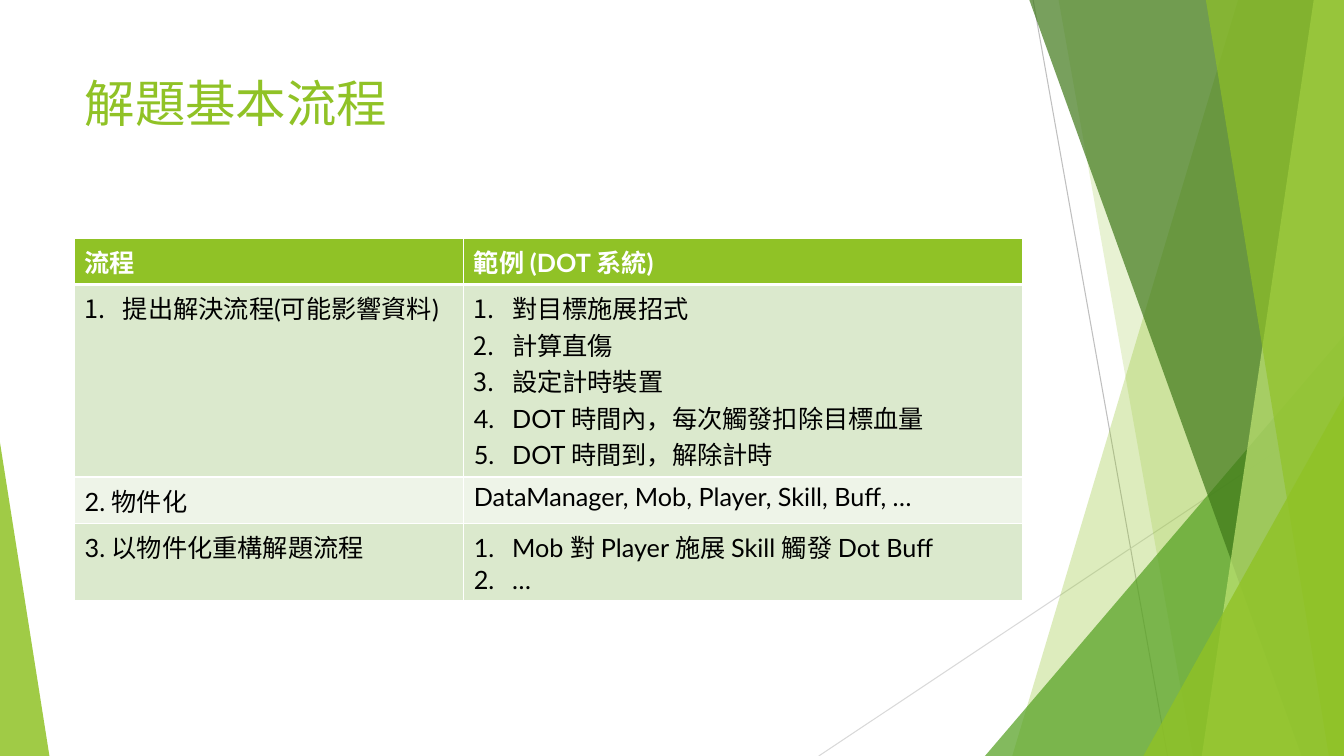
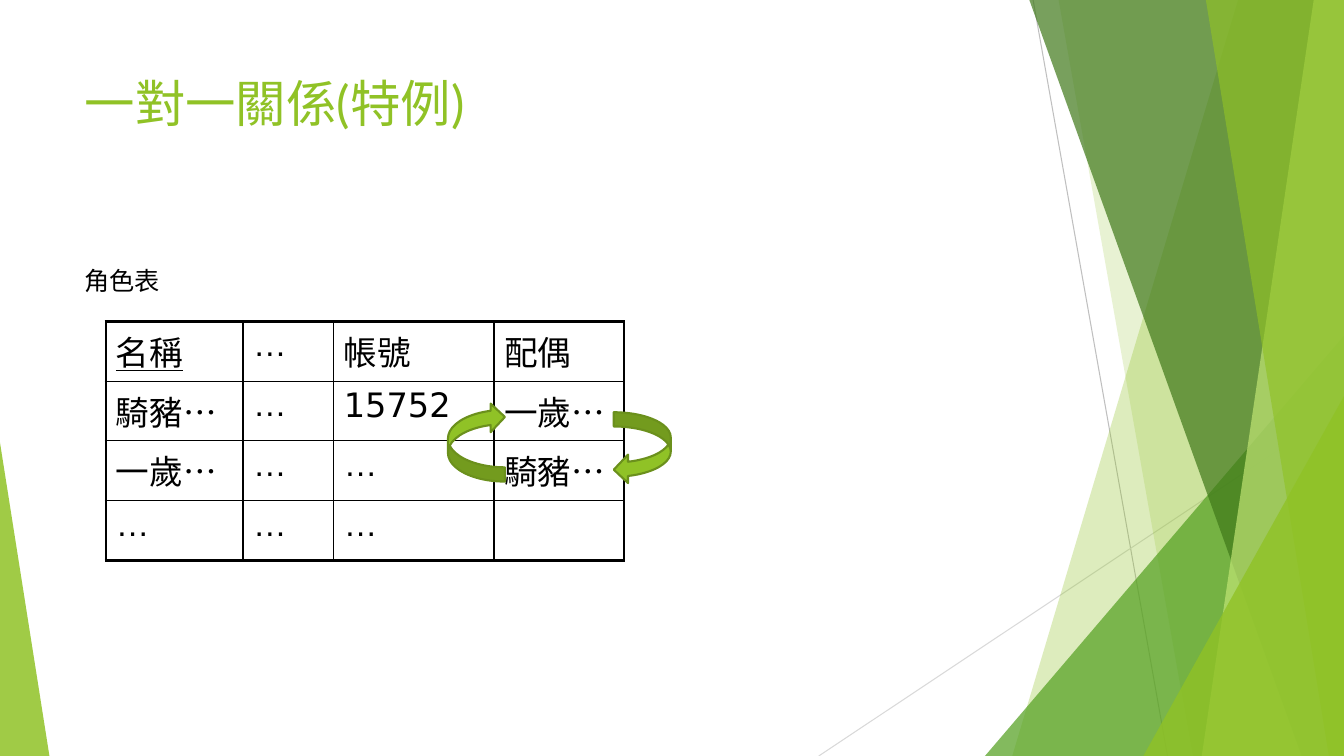
from dataclasses import dataclass

from lxml.etree import SubElement
from pptx import Presentation
from pptx.dml.color import RGBColor
from pptx.enum.shapes import MSO_CONNECTOR, MSO_SHAPE
from pptx.enum.text import MSO_ANCHOR, MSO_AUTO_SIZE, PP_ALIGN
from pptx.oxml.ns import qn
from pptx.util import Inches, Pt


@dataclass(frozen=True)
class Theme:
    green: str = "90C226"
    leaf: str = "54A021"
    forest: str = "3F7819"
    lime: str = "C0E474"
    outline: str = "6B901C"
    band: str = "DBE9CD"
    pale: str = "EEF4E8"
    grey: str = "BFBFBF"
    light_grey: str = "D9D9D9"
    black: str = "000000"
    white: str = "FFFFFF"
    font: str = "Lato"
    grid_font: str = "DejaVu Sans"
    dots_font: str = "Arial"
    title_size: int = 36
    grid_size: int = 24
    text_size: int = 18


@dataclass(frozen=True)
class Box:
    left: float
    top: float
    width: float
    height: float

    def inner(self, left, top, width, height):
        """Return the inner box given as shares of this one."""
        return Box(self.left + left * self.width, self.top + top * self.height,
                   width * self.width, height * self.height)

    def emu(self):
        return [int(v) for v in (self.left, self.top, self.width, self.height)]

    def point(self, x, y):
        """Return a point given in percent of this box."""
        return (int(self.left + x * self.width / 100),
                int(self.top + y * self.height / 100))


T = Theme()
PAGE = Box(0, 0, Inches(13.33), Inches(7.5))


def area(left, top, width, height):
    """Return a box given in percent of the page."""
    return PAGE.inner(left / 100, top / 100, width / 100, height / 100)


TITLE = area(5.55, 8.93, 70.52, 19.2)
STEPS = area(5.55, 31.47, 70.52, 41.47)
CAPTION = area(5.55, 34.4, 7.2, 5.33)
ROLES = area(7.88, 42.53, 38.56, 31.6)

# Backdrop parts in percent of the page
LINES = [((76.87, 0), (86.87, 100), T.grey),
         ((100, 53.73), (60.92, 100), T.light_grey)]
# Panes reach the right edge: left end at top, left end at bottom, colour, opacity
BACK_PANES = [(92.12, 75.32, T.green, 30), (78.77, 88.75, T.green, 20)]
FRONT_PANES = [(76.59, 96.85, T.forest, 70), (97.75, 89.42, T.lime, 70),
               (89.72, 98.87, T.green, 65)]
# Wedges reach the bottom edge: left, top, width, peak, colour, opacity
BACK_WEDGE = (73.29, 44.4, 26.71, 1, T.leaf, 72)
FRONT_WEDGES = [(85.07, 52.4, 14.93, 1, T.green, 80),
                (0, 58.53, 3.68, 0, T.green, 85)]


def rgb(color):
    return RGBColor.from_string(color)


def style_run(r, size, color, font=T.font, bold=False, underline=False):
    r.font.size = Pt(size)
    r.font.name = font
    r.font.color.rgb = rgb(color)
    r.font.bold = bold
    r.font.underline = underline


def paint(sp, color, opacity=100):
    sp.shadow.inherit = False
    sp.fill.solid()
    sp.fill.fore_color.rgb = rgb(color)
    sp.line.fill.background()
    if opacity < 100:
        tone = sp._element.spPr.find(qn("a:solidFill")).find(qn("a:srgbClr"))
        SubElement(tone, qn("a:alpha"), val=str(opacity * 1000))


# Shared backdrop
def add_pane(s, box, top_x, bottom_x, color, opacity):
    outline = s.shapes.build_freeform(*box.point(top_x, 0), scale=1.0)
    outline.add_line_segments([box.point(100, 0), box.point(100, 100),
                               box.point(bottom_x, 100)], close=True)
    paint(outline.convert_to_shape(), color, opacity)


def add_wedge(s, box, left, top, width, peak, color, opacity):
    place = box.inner(left / 100, top / 100, width / 100, 1 - top / 100)
    sp = s.shapes.add_shape(MSO_SHAPE.ISOSCELES_TRIANGLE, *place.emu())
    sp.adjustments[0] = peak
    paint(sp, color, opacity)


def add_backdrop(s, box):
    for start, end, color in LINES:
        line = s.shapes.add_connector(MSO_CONNECTOR.STRAIGHT,
                                      *box.point(*start), *box.point(*end))
        line.line.color.rgb = rgb(color)
        line.line.width = Pt(0.75)
        SubElement(line._element.spPr, qn("a:effectLst"))
    for pane in BACK_PANES:
        add_pane(s, box, *pane)
    add_wedge(s, box, *BACK_WEDGE)
    for pane in FRONT_PANES:
        add_pane(s, box, *pane)
    for wedge in FRONT_WEDGES:
        add_wedge(s, box, *wedge)


def add_slide(prs, title):
    s = prs.slides.add_slide(prs.slide_layouts[5])
    add_backdrop(s, PAGE)
    sp = s.shapes.title
    sp.left, sp.top, sp.width, sp.height = TITLE.emu()
    tf = sp.text_frame
    tf.text = title
    tf.word_wrap = True
    tf.auto_size = MSO_AUTO_SIZE.NONE
    tf.vertical_anchor = MSO_ANCHOR.TOP
    p = tf.paragraphs[0]
    p.alignment = PP_ALIGN.LEFT
    style_run(p.runs[0], T.title_size, T.green)
    return s


# Tables
def add_grid(s, box, shares, row_heights):
    frame = s.shapes.add_table(len(row_heights), len(shares), *box.emu())
    table = frame.table
    table.first_row = table.horz_banding = False
    for column, share in zip(table.columns, shares):
        column.width = int(box.width * share / sum(shares))
    for row, height in zip(table.rows, row_heights):
        row.height = int(height)
    return table


def set_borders(cell, color, left=1, right=1, top=1, bottom=1):
    tc_pr = cell._tc.get_or_add_tcPr()
    for tag, width in (("lnL", left), ("lnR", right), ("lnT", top), ("lnB", bottom)):
        ln = SubElement(tc_pr, qn("a:" + tag), w=str(int(Pt(width))))
        fill = SubElement(ln, qn("a:solidFill"))
        SubElement(fill, qn("a:srgbClr"), val=color)


def number(p):
    p_pr = p._p.get_or_add_pPr()
    indent = int(Inches(0.38))
    p_pr.set("marL", str(indent))
    p_pr.set("indent", str(-indent))
    SubElement(p_pr, qn("a:buFont"), typeface="+mj-lt")
    SubElement(p_pr, qn("a:buAutoNum"), type="arabicPeriod")


def add_steps_table(s, box, rows):
    """A list in a cell becomes numbered paragraphs."""
    table = add_grid(s, box, (3.86, 5.54), [Inches(0.41)] * len(rows))
    for i, row in enumerate(rows):
        head = i == 0
        for j, content in enumerate(row):
            cell = table.cell(i, j)
            set_borders(cell, T.white, top=3 if i == 1 else 1, bottom=3 if head else 1)
            cell.fill.solid()
            cell.fill.fore_color.rgb = rgb(T.green if head else T.band if i % 2 else T.pale)
            listed = isinstance(content, list)
            cell.text_frame.text = "\n".join(content) if listed else content
            for p in cell.text_frame.paragraphs:
                if listed:
                    number(p)
                style_run(p.runs[0], T.text_size, T.white if head else T.black, bold=head)


def add_roles_table(s, box, rows):
    """Thick frame, thin inner rules; the dots have their own font."""
    table = add_grid(s, box, (1.36, 0.9, 1.59, 1.29), [box.height / len(rows)] * len(rows))
    last_row, last_col = len(rows) - 1, len(rows[0]) - 1
    for i, row in enumerate(rows):
        for j, content in enumerate(row):
            cell = table.cell(i, j)
            edges = {"left": j == 0, "right": j == last_col,
                     "top": i == 0, "bottom": i == last_row}
            set_borders(cell, T.black,
                        **{side: 2.25 if outer else 1 for side, outer in edges.items()})
            cell.fill.background()
            word, dots, _ = content.partition("…")
            p = cell.text_frame.paragraphs[0]
            for text, font in ((word, T.grid_font), (dots, T.dots_font)):
                if text:
                    r = p.add_run()
                    r.text = text
                    style_run(r, T.grid_size, T.black, font, underline=i == j == 0)


def add_spouse_arrows(s, box):
    """Two curved arrows that link the spouse cells both ways."""
    right = s.shapes.add_shape(MSO_SHAPE.CURVED_LEFT_ARROW,
                               *box.inner(0.98, 0.38, 0.11, 0.3).emu())
    left = s.shapes.add_shape(MSO_SHAPE.CURVED_RIGHT_ARROW,
                              *box.inner(0.66, 0.34, 0.11, 0.33).emu())
    left._element.spPr.find(qn("a:xfrm")).set("flipV", "1")
    for sp in (right, left):
        paint(sp, T.green)
        sp.line.color.rgb = rgb(T.outline)
        sp.line.width = Pt(1.5)


def add_caption(s, box, text):
    tf = s.shapes.add_textbox(*box.emu()).text_frame
    tf.text = text
    tf.word_wrap = False
    tf.auto_size = MSO_AUTO_SIZE.SHAPE_TO_FIT_TEXT
    style_run(tf.paragraphs[0].runs[0], T.text_size, T.black)


# Slides
def build_steps_slide(prs):
    s = add_slide(prs, "解題基本流程")
    add_steps_table(s, STEPS, [
        ("流程", "範例 (DOT 系統)"),
        (["提出解決流程(可能影響資料)"],
         ["對目標施展招式", "計算直傷", "設定計時裝置",
          "DOT 時間內，每次觸發扣除目標血量", "DOT 時間到，解除計時"]),
        ("2. 物件化", "DataManager, Mob, Player, Skill, Buff, …"),
        ("3. 以物件化重構解題流程",
         ["Mob 對 Player 施展 Skill 觸發 Dot Buff", "…"]),
    ])


def build_roles_slide(prs):
    s = add_slide(prs, "一對一關係(特例)")
    add_caption(s, CAPTION, "角色表")
    add_roles_table(s, ROLES, [
        ("名稱", "…", "帳號", "配偶"),
        ("騎豬…", "…", "15752", "一歲…"),
        ("一歲…", "…", "…", "騎豬…"),
        ("…", "…", "…", ""),
    ])
    add_spouse_arrows(s, ROLES)


def main():
    prs = Presentation()
    prs.slide_width, prs.slide_height = PAGE.width, PAGE.height
    build_steps_slide(prs)
    build_roles_slide(prs)
    prs.save("out.pptx")


if __name__ == "__main__":
    main()
